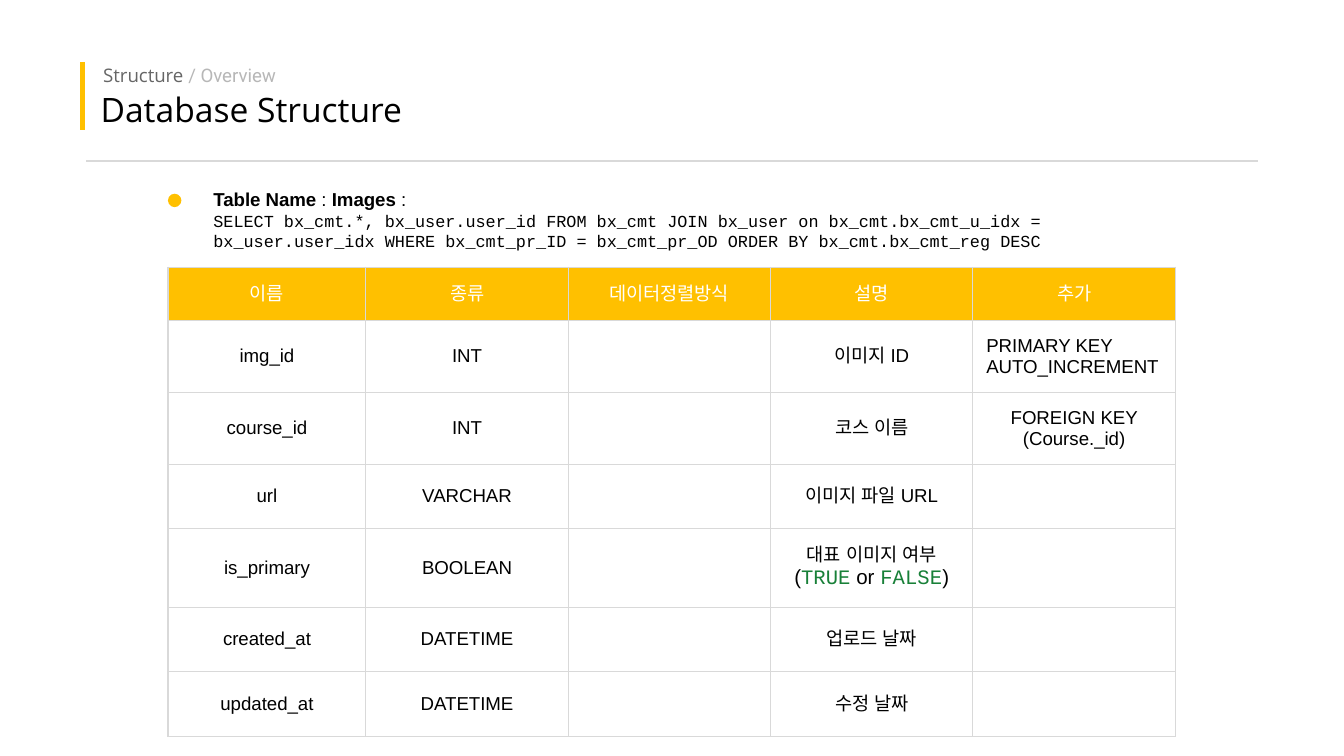
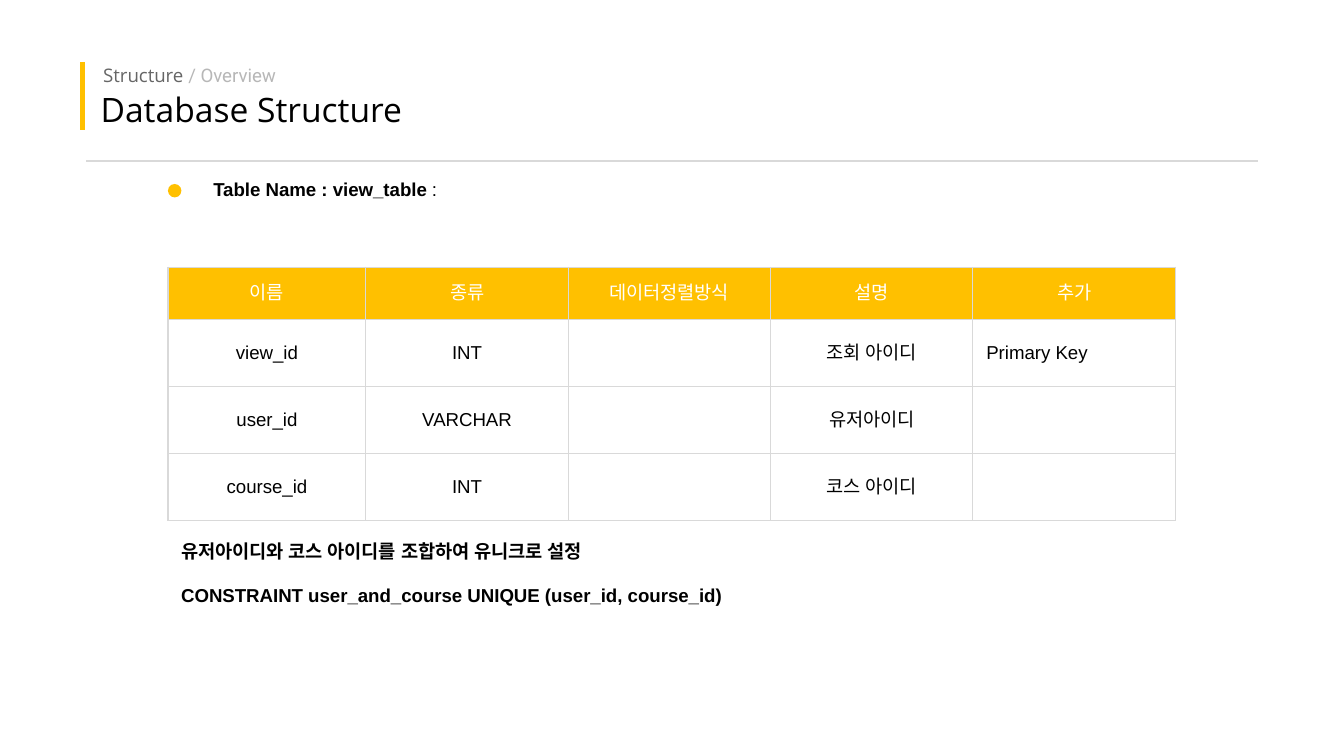
from pptx import Presentation
from pptx.dml.color import RGBColor
from pptx.enum.shapes import MSO_CONNECTOR, MSO_SHAPE
from pptx.enum.text import MSO_ANCHOR, MSO_AUTO_SIZE, PP_ALIGN
from pptx.oxml.ns import qn
from pptx.util import Pt
from lxml.etree import SubElement

COLORS = {
    "gold": "FFC000",
    "line": "D9D9D9",
    "black": "000000",
    "white": "FFFFFF",
    "dark": "666666",
    "light": "B7B7B7",
    "green": "188038",
}
PAD = 7.2
EDGE = 90
HEADS = ["이름", "종류", "데이터정렬방식", "설명", "추가"]
WIDTHS = [106] + [108.4] * 4


def color(name):
    return RGBColor.from_string(COLORS[name])


def run(text, size=10, font="Arial", tone="black", bold=False):
    return text, size, font, tone, bold


class Deck:
    def __init__(self):
        self.file = Presentation()
        self.file.slide_width = Pt(720)
        self.file.slide_height = Pt(405)
        self.slide = None

    def page(self):
        self.slide = self.file.slides.add_slide(self.file.slide_layouts[6])
        self.line(44.2, 33.2, 44.2, 69.6, "gold", 3)
        self.text(46.8, 40.2, 655, 36, [[run("Database Structure", 18, "Open Sans")]], middle=True)
        crumb = self.text(48.2, 31, 323.3, 16.6, [[
            run("Structure ", 10, "Open Sans", "dark"),
            run("/ Overview", 10, "Roboto", "light"),
        ]], middle=True)
        crumb.paragraphs[0].line_spacing = 1.15
        crumb.paragraphs[0].space_after = Pt(12)
        self.line(46.1, 86.2, 673.9, 86.2, "line", 0.75)

    def line(self, x1, y1, x2, y2, tone, width):
        rule = self.slide.shapes.add_connector(
            MSO_CONNECTOR.STRAIGHT, Pt(x1), Pt(y1), Pt(x2), Pt(y2))
        rule.line.color.rgb = color(tone)
        rule.line.width = Pt(width)
        SubElement(rule._element.spPr, qn("a:effectLst"))

    def dot(self, top):
        dot = self.slide.shapes.add_shape(
            MSO_SHAPE.OVAL, Pt(EDGE), Pt(top), Pt(7.2), Pt(7.2))
        dot.shadow.inherit = False
        dot.fill.solid()
        dot.fill.fore_color.rgb = color("gold")
        dot.line.fill.background()

    def fill(self, para, runs):
        for text, size, font, tone, bold in runs:
            for i, part in enumerate(text.split("\n")):
                if i:
                    para.add_line_break()
                if not part:
                    continue
                piece = para.add_run()
                piece.text = part
                piece.font.size = Pt(size)
                piece.font.name = font
                piece.font.bold = bold
                piece.font.color.rgb = color(tone)
                SubElement(piece.font._element, qn("a:ea"), typeface=font)

    def text(self, x, y, w, h, paras, middle=False, gap=0):
        box = self.slide.shapes.add_textbox(Pt(x), Pt(y), Pt(w), Pt(h))
        frame = box.text_frame
        frame.word_wrap = True
        frame.margin_left = frame.margin_right = Pt(PAD)
        frame.margin_top = frame.margin_bottom = Pt(PAD)
        if middle:
            frame.vertical_anchor = MSO_ANCHOR.MIDDLE
        else:
            frame.auto_size = MSO_AUTO_SIZE.SHAPE_TO_FIT_TEXT
        for i, runs in enumerate(paras):
            para = frame.add_paragraph() if i else frame.paragraphs[0]
            if i and gap:
                para.space_before = Pt(gap)
            self.fill(para, runs)
        return frame

    def cell(self, cell, item, head, left):
        cell.margin_left = cell.margin_right = Pt(PAD)
        cell.margin_top = cell.margin_bottom = Pt(PAD)
        cell.vertical_anchor = MSO_ANCHOR.MIDDLE
        props = cell._tc.get_or_add_tcPr()
        for side in ("lnL", "lnR", "lnT", "lnB"):
            edge = SubElement(props, qn("a:" + side), w=str(Pt(0.75)))
            paint = SubElement(edge, qn("a:solidFill"))
            SubElement(paint, qn("a:srgbClr"), val=COLORS["line"])
        if head:
            cell.fill.solid()
            cell.fill.fore_color.rgb = color("gold")
        else:
            cell.fill.background()
        para = cell.text_frame.paragraphs[0]
        para.alignment = PP_ALIGN.LEFT if left else PP_ALIGN.CENTER
        if not item:
            SubElement(para._p, qn("a:endParaRPr"), sz="1000")
        elif isinstance(item, str):
            self.fill(para, [run(item, tone="white" if head else "black")])
        else:
            self.fill(para, item)

    def table(self, rows, heights):
        grid = [HEADS] + rows
        table = self.slide.shapes.add_table(
            len(grid), len(HEADS), Pt(EDGE), Pt(143.2),
            Pt(sum(WIDTHS)), Pt(sum(heights))).table
        table.first_row = table.horz_banding = False
        for col, width in zip(table.columns, WIDTHS):
            col.width = Pt(width)
        for r, (items, height) in enumerate(zip(grid, heights)):
            table.rows[r].height = Pt(height)
            for c, item in enumerate(items):
                self.cell(table.cell(r, c), item, r == 0, (r, c) == (1, 4))


def main():
    deck = Deck()

    deck.page()
    flag = [
        run("대표 이미지 여부\n"),
        run("(", 11),
        run("TRUE", 11, "Courier New", "green"),
        run(" or ", 11),
        run("FALSE", 11, "Courier New", "green"),
        run(")", 11),
    ]
    deck.table([
        ["img_id", "INT", "", "이미지 ID", "PRIMARY KEY\nAUTO_INCREMENT"],
        ["course_id", "INT", "", "코스 이름", "FOREIGN KEY (Course._id)"],
        ["url", "VARCHAR", "", "이미지 파일 URL", ""],
        ["is_primary", "BOOLEAN", "", flag, ""],
        ["created_at", "DATETIME", "", "업로드 날짜", ""],
        ["updated_at", "DATETIME", "", "수정 날짜", ""],
    ], [28.6, 36.8, 36.8, 34.5, 42.2, 34.5, 34.5])
    deck.dot(103.8)
    query = (
        "SELECT bx_cmt.*, bx_user.user_id FROM bx_cmt JOIN bx_user on "
        "bx_cmt.bx_cmt_u_idx = bx_user.user_idx WHERE bx_cmt_pr_ID = "
        "bx_cmt_pr_OD ORDER BY bx_cmt.bx_cmt_reg DESC"
    )
    deck.text(107.2, 93.6, 517, 60.5, [
        [run("Table Name", bold=True), run(" : "), run("Images ", bold=True), run(":")],
        [run(query, 9, "Courier New")],
    ])

    deck.page()
    deck.dot(98.6)
    deck.text(107.2, 89, 510, 38.9, [
        [run("Table Name : view_table", bold=True), run(" :")],
    ])
    deck.table([
        ["view_id", "INT", "", "조회 아이디", "Primary Key"],
        ["user_id", "VARCHAR", "", "유저아이디", ""],
        ["course_id", "INT", "", "코스 아이디", ""],
    ], [28.1] + [35.9] * 3)
    deck.text(EDGE, 282.2, 510, 63.4, [
        [run("유저아이디와 코스 아이디를 조합하여 유니크로 설정", bold=True)],
        [run("CONSTRAINT user_and_course UNIQUE (user_id, course_id)", bold=True)],
    ], gap=11.5)

    deck.file.save("out.pptx")


if __name__ == "__main__":
    main()
